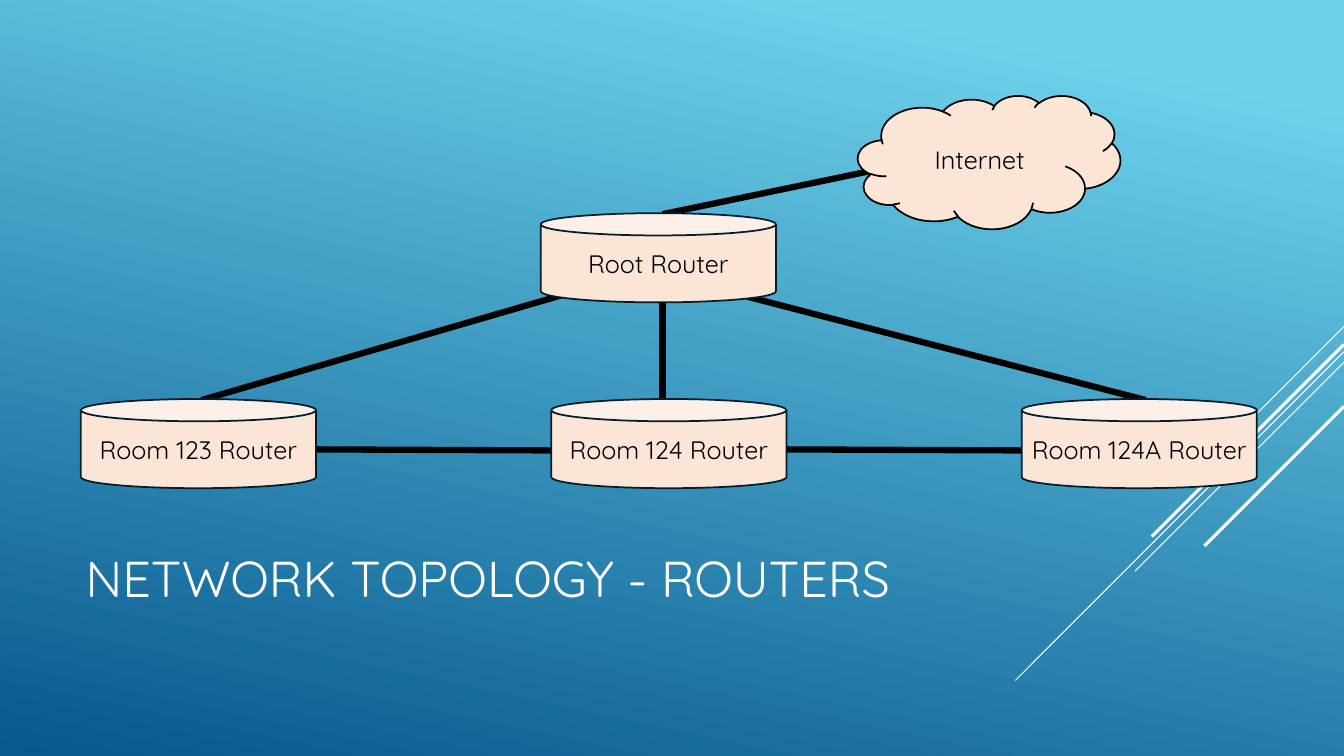
"""Build a slide that shows how the routers of a school network are linked."""
from dataclasses import dataclass

from lxml.etree import SubElement
from pptx import Presentation
from pptx.dml.color import RGBColor
from pptx.enum.shapes import MSO_CONNECTOR, MSO_SHAPE
from pptx.enum.text import MSO_ANCHOR, MSO_AUTO_SIZE, PP_ALIGN
from pptx.oxml.ns import qn
from pptx.slide import Slide
from pptx.text.text import TextFrame
from pptx.util import Pt

SCALE = 9525
WIDE, HIGH = 1280, 720


@dataclass(frozen=True)
class Theme:
    font: str = "Quicksand"
    light: str = "6ED2EB"
    dark: str = "06588E"
    white: str = "FFFFFF"
    black: str = "000000"
    fill: str = "FAE5D7"
    edge: str = "021E2B"
    title: int = 36
    label: int = 18
    border: float = 1.25
    cable: float = 4.5
    thin: float = 0.75
    thick: float = 2.25


@dataclass(frozen=True)
class Line:
    x1: int
    y1: int
    x2: int
    y2: int
    color: str
    weight: float


@dataclass(frozen=True)
class Node:
    text: str
    x: int
    y: int
    width: int
    height: int
    kind: MSO_SHAPE
    edge: str


THEME = Theme()
CAN = (224, 85, MSO_SHAPE.CAN, THEME.edge)
ROOM_X, ROOM_Y, ROOM_STEP = 77, 380, 448
ROOMS = ("Room 123 Router", "Room 124 Router", "Room 124A Router")

NODES = [
    Node("Root Router", 515, 203, *CAN),
    *(Node(name, ROOM_X + i * ROOM_STEP, ROOM_Y, *CAN) for i, name in enumerate(ROOMS)),
    Node("Internet", 817, 91, 250, 127, MSO_SHAPE.CLOUD, THEME.black),
]

RAYS = [
    Line(WIDE, top, WIDE - run, top + run, THEME.white, weight)
    for top, run, weight in (
        (311, 96, THEME.thin),
        (335, 313, THEME.thin),
        (345, 199, THEME.thin),
        (328, 183, THEME.thick),
        (387, 133, THEME.thick),
    )
]

CABLES = [
    Line(*ends, THEME.black, THEME.cable)
    for ends in (
        (301, 428, 525, 429),
        (749, 428, 973, 429),
        (843, 160, 631, 204),
        (539, 280, 192, 381),
        (631, 287, 631, 387),
        (702, 280, 1091, 381),
    )
]


def px(*sizes: int) -> list[int]:
    """Turn px into EMU."""
    return [size * SCALE for size in sizes]


def rgb(code: str) -> RGBColor:
    """Read a hex color."""
    return RGBColor.from_string(code)


def write(frame: TextFrame, text: str, size: int, color: str, align: PP_ALIGN) -> None:
    """Set and format one line of text."""
    frame.text = text
    frame.word_wrap = True
    frame.auto_size = MSO_AUTO_SIZE.NONE
    frame.vertical_anchor = MSO_ANCHOR.MIDDLE
    frame.paragraphs[0].alignment = align
    font = frame.paragraphs[0].runs[0].font
    font.name, font.size = THEME.font, Pt(size)
    font.color.rgb = rgb(color)


def paint(slide: Slide) -> None:
    """Fill the background with a gradient."""
    fill = slide.background.fill
    fill.gradient()
    fill.gradient_angle = 258
    stops = zip(fill.gradient_stops, (THEME.light, THEME.dark), (0.1, 1))
    for stop, color, place in stops:
        stop.color.rgb = rgb(color)
        stop.position = place


def draw_line(slide: Slide, line: Line) -> None:
    """Draw a straight line without a shadow."""
    ends = px(line.x1, line.y1, line.x2, line.y2)
    shape = slide.shapes.add_connector(MSO_CONNECTOR.STRAIGHT, *ends)
    shape.line.color.rgb = rgb(line.color)
    shape.line.width = Pt(line.weight)
    SubElement(shape._element.spPr, qn("a:effectLst"))


def draw_node(slide: Slide, node: Node) -> None:
    """Draw a router or cloud with its label."""
    box = px(node.x, node.y, node.width, node.height)
    shape = slide.shapes.add_shape(node.kind, *box)
    shape.shadow.inherit = False
    shape.fill.solid()
    shape.fill.fore_color.rgb = rgb(THEME.fill)
    shape.line.color.rgb = rgb(node.edge)
    shape.line.width = Pt(THEME.border)
    write(shape.text_frame, node.text, THEME.label, THEME.black, PP_ALIGN.CENTER)


def draw_title(slide: Slide) -> None:
    """Place the title."""
    title = slide.shapes.title
    title.left, title.top, title.width, title.height = px(72, 471, 896, 158)
    text = "NETWORK TOPOLOGY - ROUTERS"
    write(title.text_frame, text, THEME.title, THEME.white, PP_ALIGN.LEFT)


def main() -> None:
    """Build and save the deck."""
    deck = Presentation()
    deck.slide_width, deck.slide_height = px(WIDE, HIGH)
    slide = deck.slides.add_slide(deck.slide_layouts[5])
    paint(slide)
    draw_title(slide)
    for line in RAYS + CABLES:
        draw_line(slide, line)
    for node in NODES:
        draw_node(slide, node)
    deck.save("out.pptx")


if __name__ == "__main__":
    main()
